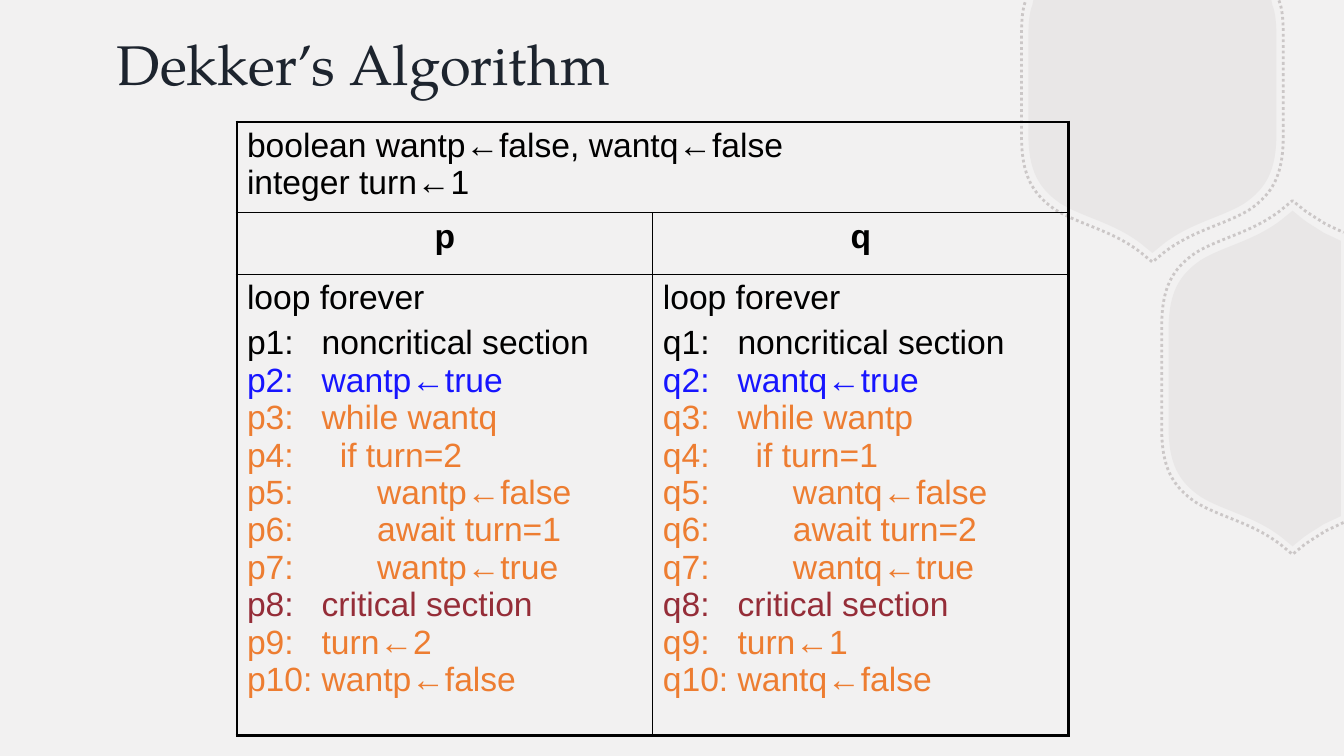
from itertools import groupby
from lxml.etree import Element, SubElement
from pptx import Presentation
from pptx.dml.color import RGBColor
from pptx.enum.dml import MSO_LINE
from pptx.enum.text import MSO_ANCHOR, PP_ALIGN
from pptx.oxml import parse_xml
from pptx.oxml.ns import nsdecls, qn
from pptx.util import Inches, Pt

WIDTH, HEIGHT = 13.33, 7.5
BLACK, BLUE, ORANGE, RED, GREY = "000000", "1715FF", "ED7D31", "952D38", "B8B2B2"


def color(target, value, opacity=100):
    """Give a fill or a font a solid colour, optionally see-through."""
    if hasattr(target, "solid"):
        target.solid()
        target.fore_color.rgb = RGBColor.from_string(value)
        if opacity < 100:
            value_element = target._xPr.find(".//" + qn("a:srgbClr"))
            SubElement(value_element, qn("a:alpha"), val=str(opacity * 1000))
    else:
        target.color.rgb = RGBColor.from_string(value)


def add_text(para, text, size, font, value, bold=False):
    span = para.add_run()
    span.text = text
    span.font.size, span.font.name, span.font.bold = Pt(size), font, bold
    color(span.font, value)


deck = Presentation()
deck.slide_width, deck.slide_height = Inches(WIDTH), Inches(HEIGHT)
page = deck.slides.add_slide(deck.slide_layouts[6])
color(page.background.fill, "F2F1F1")

# Badge parts, measured outward and inward from a tip; True marks a curve handle
corner = [(0, 0, False), (0.11, 0.09, False), (0.38, 0.3, True), (0.68, 0.35, True),
          (0.91, 0.49, False), (1.13, 0.64, True), (1.23, 0.82, True), (1.23, 1.18, False)]
shoulder = [(1.23, 2.15, False), (1.23, 2.28, True), (1.22, 2.39, True), (1.19, 2.46, False)]
stub = [(0.11, 0.09, False), (0.18, 0.14, True), (0.25, 0.18, True),
        (0.31, 0.22, False), (0.48, 0.3, False)]

# Two badges cut off by the page edge: filled shapes first, dotted rims on top
looks = [(1, True, 2.51, 2.09, 5.42), (1.055, False, 2.6, 1.99, 5.5)]
for scale, filled, upper_tip, lower_top, lower_tip in looks:
    half = corner + shoulder + ([(1.18, 2.51, False)] if filled else [])
    # Each piece: part, side (1 right, -1 left), tip, inward direction, reversed
    upper = [(half, 1, upper_tip, -1, True), (half[1:], -1, upper_tip, -1, False)]
    lower = [(stub, 1, lower_tip, -1, True), (corner, -1, lower_tip, -1, False),
             (corner, -1, lower_top, 1, True), (stub, 1, lower_top, 1, False)]
    for center, pieces in [(11.43, upper), (12.82, lower)]:
        nodes = []
        for part, side, tip, inward, backward in pieces:
            placed = [(Inches(center + side * x * scale),
                       Inches(max(tip + inward * y * scale, 0)), handle)
                      for x, y, handle in part]
            nodes += placed[::-1] if backward else placed
        builder = page.shapes.build_freeform(*nodes[0][:2])
        builder.add_line_segments([node[:2] for node in nodes[1:]], close=filled)
        badge = builder.convert_to_shape()
        badge.shadow.inherit = False

        # Join two handles and the node after them into one curve
        segments = list(badge._element.iter(qn("a:lnTo")))
        for index, (x, y, handle) in enumerate(nodes[1:]):
            if handle and not nodes[index][2]:
                curve = Element(qn("a:cubicBezTo"))
                segments[index].addprevious(curve)
                for segment in segments[index:index + 3]:
                    curve.append(segment[0])
                    segment.getparent().remove(segment)

        if filled:
            color(badge.fill, GREY, 15)
            badge.line.fill.background()
        else:
            badge.fill.background()
            color(badge.line.fill, GREY, 65)
            badge.line.width = Pt(2)
            badge.line.dash_style = MSO_LINE.ROUND_DOT

# Title
box = page.shapes.add_textbox(Inches(1.06), Inches(0.05), Inches(9.93), Inches(1.16))
box.text_frame.word_wrap = True
box.text_frame.vertical_anchor = MSO_ANCHOR.MIDDLE
add_text(box.text_frame.paragraphs[0], "Dekker’s Algorithm", 40, "TeX Gyre Pagella", "1D242E")

# Table content: each cell is a list of paragraphs, each paragraph a list of lines
declarations = [[("boolean wantp←false, wantq←false", BLACK), ("integer turn←1", BLACK)]]
processes = []
for me, other, mine, theirs in [("p", "q", 1, 2), ("q", "p", 2, 1)]:
    steps = [
        (1, "noncritical section", BLACK),
        (1, f"want{me}←true", BLUE),
        (1, f"while want{other}", ORANGE),
        (2, f"if turn={theirs}", ORANGE),
        (3, f"want{me}←false", ORANGE),
        (3, f"await turn={mine}", ORANGE),
        (3, f"want{me}←true", ORANGE),
        (1, "critical section", RED),
        (1, f"turn←{theirs}", ORANGE),
        (1, f"want{me}←false", ORANGE),
    ]
    listing = [(f"{me}{number}:" + "\t" * depth + code, value)
               for number, (depth, code, value) in enumerate(steps, 1)]
    processes.append([[("loop forever", BLACK)], listing])
rows = [[declarations, []], [[[("p", BLACK)]], [[("q", BLACK)]]], processes]

# Table grid
row_heights = [0.9, 0.61, 4.58]
frame = page.shapes.add_table(3, 2, Inches(2.35), Inches(1.21),
                              Inches(8.25), Inches(sum(row_heights)))
table = frame.table
table.first_row = table.horz_banding = False
for row, height in zip(table.rows, row_heights):
    row.height = Inches(height)
table.cell(0, 0).merge(table.cell(0, 1))

for r, row in enumerate(rows):
    for c, paragraphs in enumerate(row):
        cell = table.cell(r, c)
        cell.fill.background()

        # Thick rim, thin inner lines
        rim = {"L": c == 0, "R": c == 1 or r == 0, "T": r == 0, "B": r == 2}
        for index, (side, thick) in enumerate(rim.items()):
            width = Pt(2.25 if thick else 1)
            cell._tc.get_or_add_tcPr().insert(index, parse_xml(
                f'<a:ln{side} {nsdecls("a")} w="{width}"><a:solidFill>'
                f'<a:srgbClr val="{BLACK}"/></a:solidFill></a:ln{side}>'))

        # Text, with tab stops for the code's nesting
        for number, lines in enumerate(paragraphs):
            text = cell.text_frame
            para = text.add_paragraph() if number else text.paragraphs[0]
            para.alignment = PP_ALIGN.CENTER if r == 1 else PP_ALIGN.LEFT
            para.space_before = Pt(5.4)
            if number:
                tabs = SubElement(para._p.get_or_add_pPr(), qn("a:tabLst"))
                for stop in (0.74, 0.92, 1.29):
                    SubElement(tabs, qn("a:tab"), pos=str(Inches(stop)), algn="l")
            for position, (line, value) in enumerate(lines):
                if position:
                    para.add_line_break()
                add_text(para, line, 24, "Arial", value, bold=r == 1)

deck.save("out.pptx")
